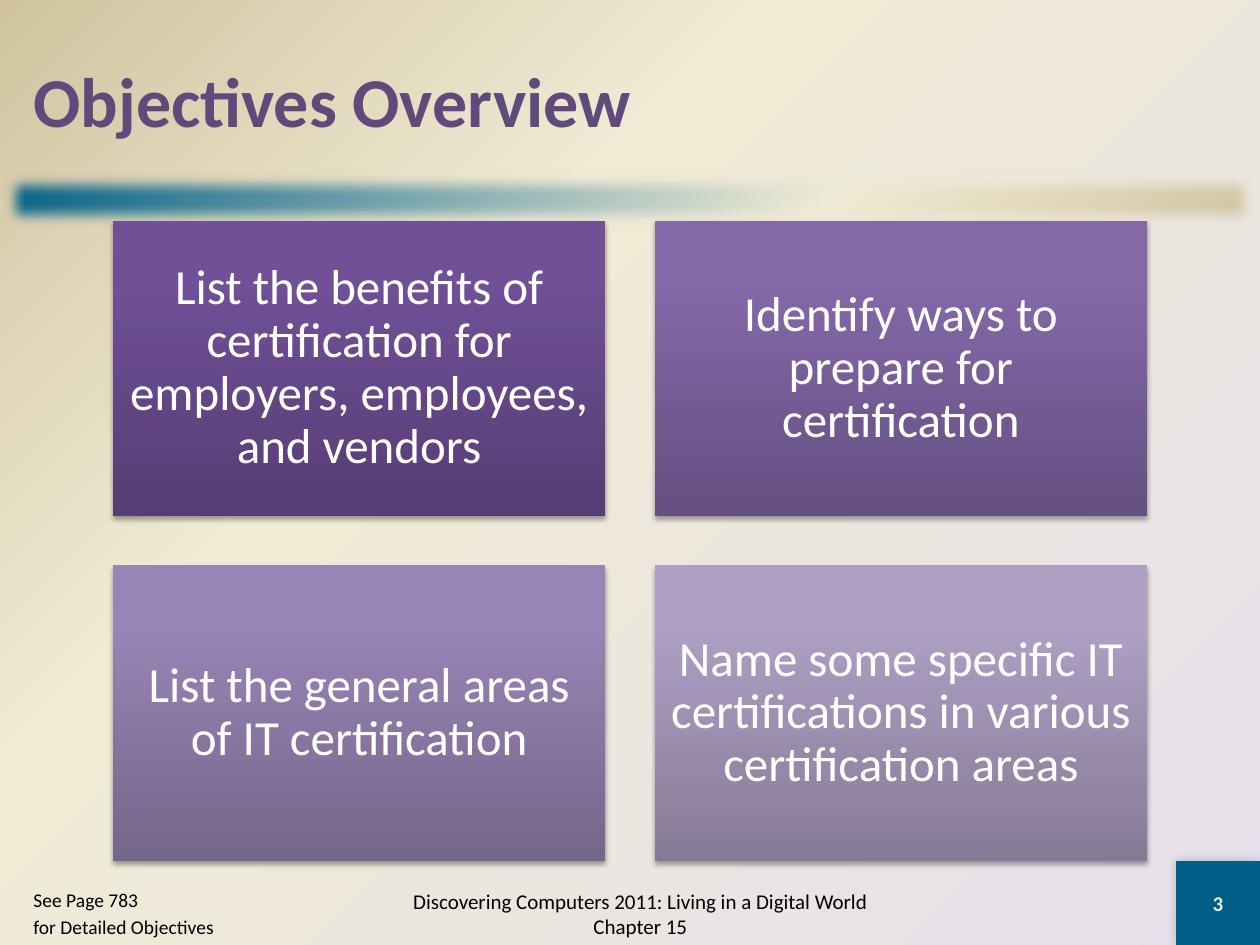
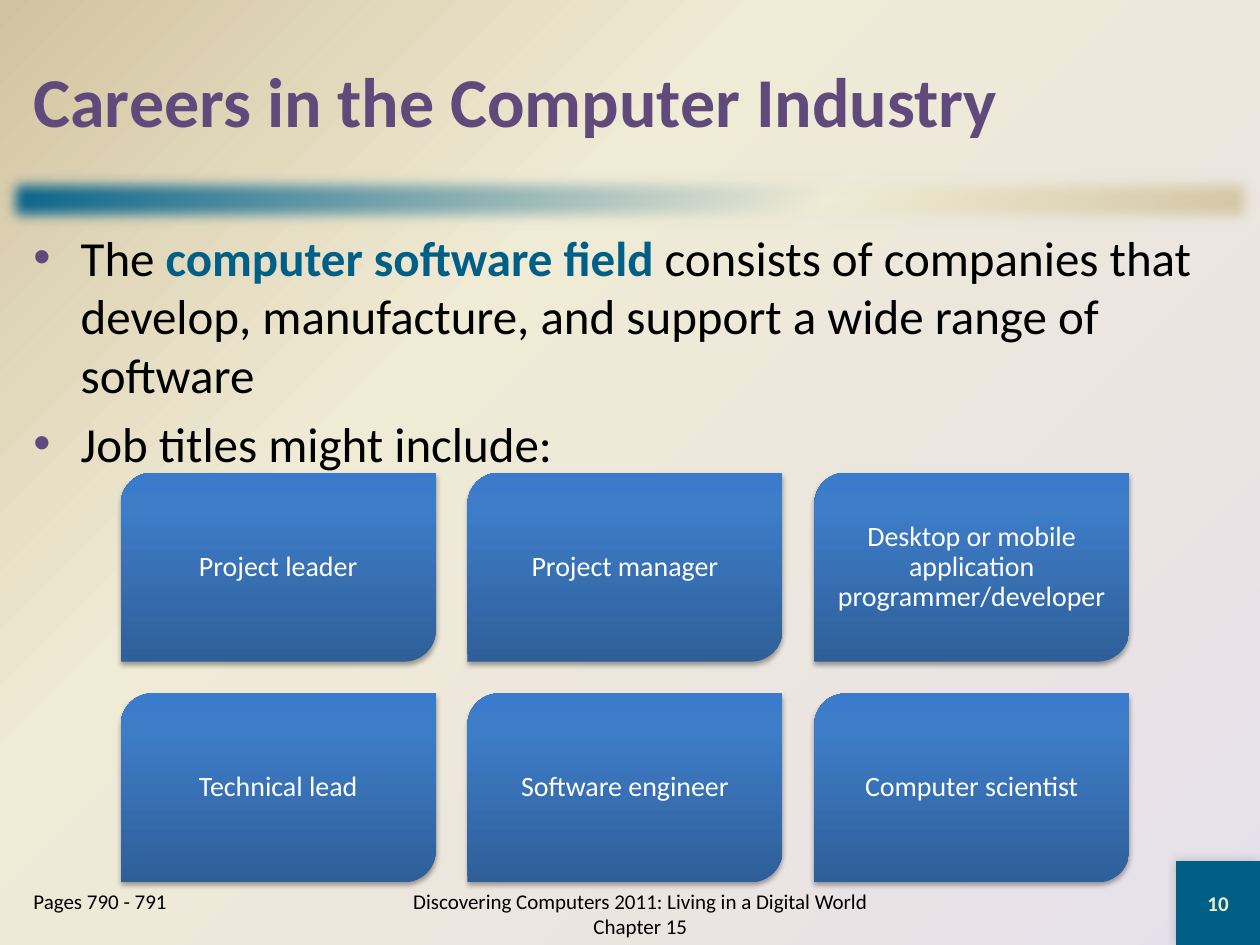
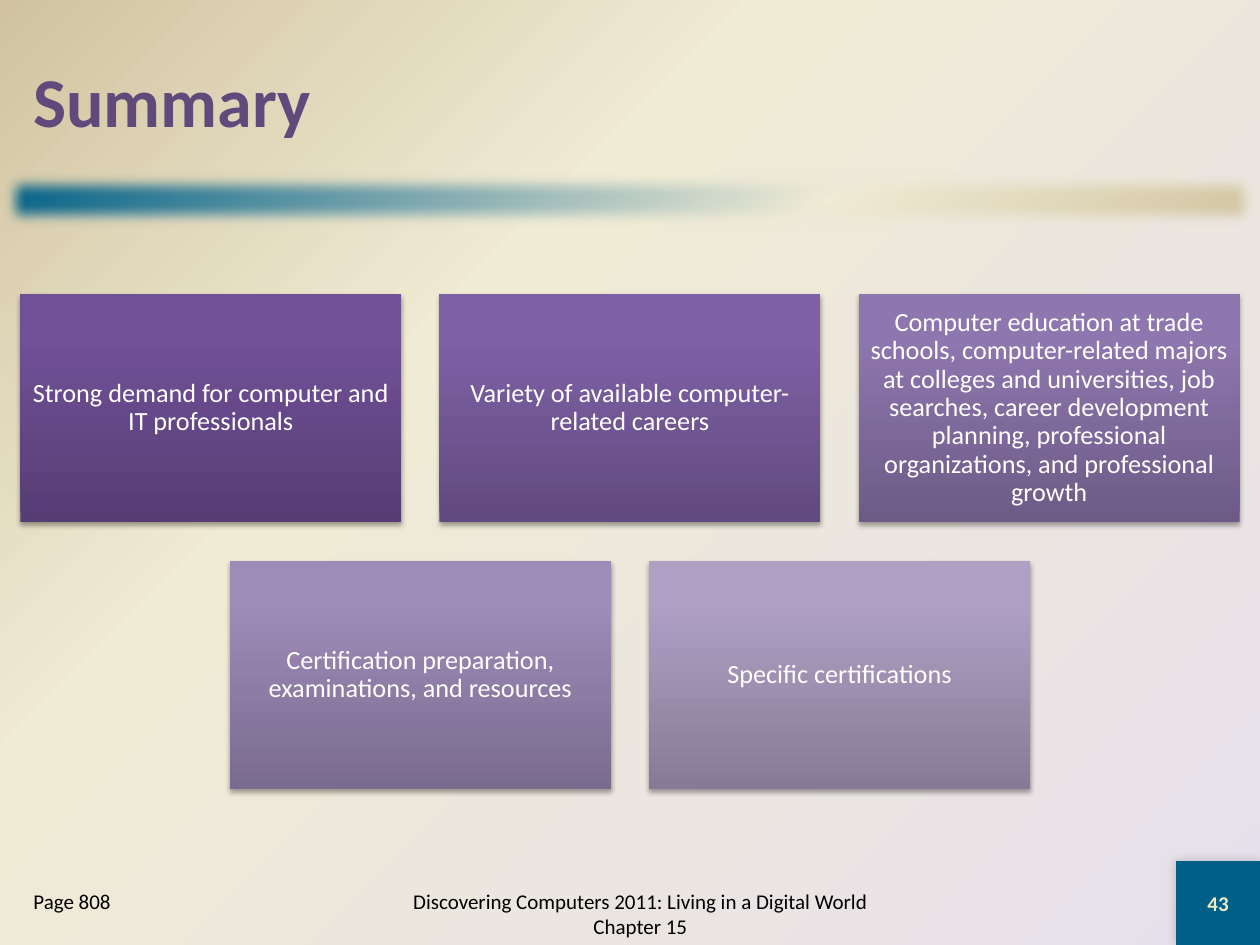
from lxml import etree
from pptx import Presentation
from pptx.dml.color import RGBColor
from pptx.enum.shapes import MSO_SHAPE
from pptx.enum.text import MSO_ANCHOR, MSO_AUTO_SIZE, PP_ALIGN
from pptx.oxml.ns import qn
from pptx.util import Cm, Pt

TEAL = RGBColor(0x00, 0x5F, 0x86)
CREAM = RGBColor(0xF0, 0xEB, 0xD5)
SAND = RGBColor(0xD1, 0xC3, 0x9F)
LILAC = RGBColor(0xE6, 0xE0, 0xEC)
PURPLE = RGBColor(0x60, 0x4A, 0x7B)
PALE = RGBColor(0xEE, 0xEB, 0xCA)
BLACK = RGBColor(0x00, 0x00, 0x00)
WHITE = RGBColor(0xFF, 0xFF, 0xFF)


def shade(*codes):
    """Colours of a box from its bottom edge to its top edge."""
    return [RGBColor.from_string(code) for code in codes]


BLUE_SHADE = shade("2F5F99", "3D7CC7", "3A7CCB")
DARKEST = shade("563D74", "705097", "704F99")
PALEST = shade("867B96", "AE9FC3", "AE9FC4")
OBJECTIVE_SHADES = [
    DARKEST,
    shade("655081", "8468A8", "8467AA"),
    shade("75668B", "9884B5", "9984B7"),
    PALEST,
]
SUMMARY_SHADES = [
    DARKEST,
    shade("614A7F", "7E60A5", "7F60A7"),
    shade("6D5B86", "8E76AE", "8E75B0"),
    shade("796B8E", "9E8BB8", "9E8BBA"),
    PALEST,
]

SLIDE_W, SLIDE_H = 25.4, 19.05
TITLE_AREA = (0.42, 0.42, 24.56, 3.18)
BAND_AREA = (0, 3.39, SLIDE_W, 1.27)
BODY_AREA = (0.42, 4.45, 24.56, 12.9)
PAGE_AREA = (0.42, 17.78, 4.66, 1.27)
FOOTER_AREA = (7.62, 17.78, 10.58, 1.27)
CORNER_AREA = (23.71, 17.36, 1.69, 1.69)

FOOTER = "Discovering Computers 2011: Living in a Digital World Chapter 15"
TITLE_FONT = {"size": Pt(40), "bold": True, "color": PURPLE}
BODY_FONT = {"size": Pt(28), "color": BLACK}
TERM_FONT = {"size": Pt(28), "bold": True, "color": TEAL}
FOOTER_FONT = {"size": Pt(12), "color": BLACK}
NUMBER_FONT = {"size": Pt(12), "bold": True, "color": PALE}


def sub(parent, tag, **attrs):
    return etree.SubElement(parent, qn(tag), {k: str(v) for k, v in attrs.items()})


def paint_gradient(fill, holder, colors, middle, angle=None):
    """Three-stop gradient; without an angle it spreads from the lower right corner."""
    fill.background()
    grad = etree.Element(qn("a:gradFill"), rotWithShape="1")
    stops = sub(grad, "a:gsLst")
    for pos, color in zip((0, middle, 100), colors):
        sub(sub(stops, "a:gs", pos=pos * 1000), "a:srgbClr", val=color)
    if angle is None:
        sub(sub(grad, "a:path", path="circle"), "a:fillToRect", l=100000, t=100000)
    else:
        sub(grad, "a:lin", ang=angle * 60000, scaled=0)
    holder.replace(holder.find(qn("a:noFill")), grad)


def add_shadow(sp, alpha, blur, distance, angle):
    effects = sp.element.spPr.find(qn("a:effectLst"))
    outer = sub(effects, "a:outerShdw", blurRad=Pt(blur), dist=Pt(distance),
                dir=angle * 60000, rotWithShape=0)
    sub(sub(outer, "a:srgbClr", val=BLACK), "a:alpha", val=alpha * 1000)


def add_plain_shape(sl, kind, area):
    sp = sl.shapes.add_shape(kind, *map(Cm, area))
    sp.line.fill.background()
    sp.shadow.inherit = False
    return sp


def add_run(p, text, fmt):
    r = p.add_run()
    r.text = text
    r.font.name = "Calibri"
    for name, value in fmt.items():
        if name == "color":
            r.font.color.rgb = value
        else:
            setattr(r.font, name, value)


def place(sp, area):
    for name, value in zip(("left", "top", "width", "height"), area):
        setattr(sp, name, Cm(value))
    sp.text_frame.auto_size = MSO_AUTO_SIZE.NONE


def set_title(sl, text):
    sp = sl.shapes.title
    place(sp, TITLE_AREA)
    sp.text_frame.vertical_anchor = MSO_ANCHOR.MIDDLE
    p = sp.text_frame.paragraphs[0]
    p.alignment = PP_ALIGN.LEFT
    add_run(p, text, TITLE_FONT)


def fill_list(sp, area, items, bullet_color=None):
    """Each item is a list of (text, format) runs; no colour means no bullets."""
    place(sp, area)
    tf = sp.text_frame
    for i, runs in enumerate(items):
        p = tf.add_paragraph() if i else tf.paragraphs[0]
        pPr = p._p.get_or_add_pPr()
        if bullet_color is None:
            sub(pPr, "a:buNone")
        else:
            sub(sub(pPr, "a:buClr"), "a:srgbClr", val=bullet_color)
        if i == 0:
            p.space_before = Pt(0)
        for text, fmt in runs:
            add_run(p, text, fmt)


def add_label(sl, area, text, fmt):
    tf = sl.shapes.add_textbox(*map(Cm, area)).text_frame
    tf.word_wrap = True
    tf.vertical_anchor = MSO_ANCHOR.MIDDLE
    p = tf.paragraphs[0]
    p.alignment = PP_ALIGN.CENTER
    add_run(p, text, fmt)


def add_box(sl, kind, area, text, colors, size, inset):
    sp = add_plain_shape(sl, kind, area)
    paint_gradient(sp.fill, sp.element.spPr, colors, 80, 270)
    add_shadow(sp, 35, 3.1, 1.8, 90)
    tf = sp.text_frame
    tf.word_wrap = True
    tf.vertical_anchor = MSO_ANCHOR.MIDDLE
    for side in ("left", "top", "right", "bottom"):
        setattr(tf, f"margin_{side}", Cm(inset))
    p = tf.paragraphs[0]
    p.alignment = PP_ALIGN.CENTER
    p.line_spacing = 0.9
    add_run(p, text, {"size": Pt(size), "color": WHITE})


def add_box_grid(sl, texts, shades, columns, top, box, gap, size, inset,
                 kind=MSO_SHAPE.RECTANGLE, center=SLIDE_W / 2):
    """Rows of equal boxes, each row centred, the last one possibly shorter."""
    w, h = box
    for start in range(0, len(texts), columns):
        row = texts[start:start + columns]
        left = center - (len(row) * (w + gap) - gap) / 2
        y = top + start // columns * (h + gap)
        for i, text in enumerate(row):
            area = (left + i * (w + gap), y, w, h)
            add_box(sl, kind, area, text, shades[start + i], size, inset)


def dress_master(prs, sl):
    """Shapes can only be drawn on a slide, so they are moved to the master."""
    master = prs.slide_master
    paint_gradient(master.background.fill, master.element.find(".//" + qn("p:bgPr")),
                   (LILAC, CREAM, SAND), 65)

    band = add_plain_shape(sl, MSO_SHAPE.RECTANGLE, BAND_AREA)
    paint_gradient(band.fill, band.element.spPr, (TEAL, CREAM, SAND), 65, 45)
    sub(band.element.spPr.find(qn("a:effectLst")), "a:softEdge", rad=112500)

    corner = add_plain_shape(sl, MSO_SHAPE.RECTANGLE, CORNER_AREA)
    corner.fill.solid()
    corner.fill.fore_color.rgb = TEAL
    add_shadow(corner, 20, 6, 0, 225)

    for number, sp in enumerate((band, corner), 101):
        sp.element.nvSpPr.cNvPr.set("id", str(number))
        master.element.cSld.spTree.append(sp.element)


def add_slide(prs, layout, title, number, page_lines, page_size=12):
    """The last body placeholder of the layout takes the page reference."""
    sl = prs.slides.add_slide(prs.slide_layouts.get_by_name(layout))
    set_title(sl, title)
    page_font = {"size": Pt(page_size), "color": BLACK}
    fill_list(list(sl.placeholders)[-1], PAGE_AREA,
              [[(line, page_font)] for line in page_lines])
    add_label(sl, FOOTER_AREA, FOOTER, FOOTER_FONT)
    add_label(sl, CORNER_AREA, str(number), NUMBER_FONT)
    return sl


def main():
    prs = Presentation()
    prs.slide_width, prs.slide_height = Cm(SLIDE_W), Cm(SLIDE_H)

    sl = add_slide(prs, "Title and Content", "Objectives Overview", 3,
                   ["See Page 783", "for Detailed Objectives"], 11.1)
    dress_master(prs, sl)
    objectives = [
        "List the benefits of certification for employers, employees, and vendors",
        "Identify ways to prepare for certification",
        "List the general areas of IT certification",
        "Name some specific IT certifications in various certification areas",
    ]
    add_box_grid(sl, objectives, OBJECTIVE_SHADES, columns=2, top=4.45,
                 box=(9.92, 5.95), gap=1, size=28, inset=0.3)

    sl = add_slide(prs, "Two Content", "Careers in the Computer Industry", 10,
                   ["Pages 790 - 791"])
    fill_list(sl.placeholders[1], BODY_AREA, [
        [("The ", BODY_FONT), ("computer software field ", TERM_FONT),
         ("consists of companies that develop, manufacture, and support "
          "a wide range of software", BODY_FONT)],
        [("Job titles might include:", BODY_FONT)],
    ], PURPLE)
    jobs = [
        "Project leader",
        "Project manager",
        "Desktop or mobile application programmer/developer",
        "Technical lead",
        "Software engineer",
        "Computer scientist",
    ]
    add_box_grid(sl, jobs, [BLUE_SHADE] * len(jobs), columns=3, top=9.53,
                 box=(6.35, 3.81), gap=0.64, size=16, inset=0.18,
                 kind=MSO_SHAPE.ROUND_2_DIAG_RECTANGLE, center=12.6)

    sl = add_slide(prs, "Title and Content", "Summary", 43, ["Page 808"])
    topics = [
        "Strong demand for computer and IT professionals",
        "Variety of available computer-related careers",
        "Computer education at trade schools, computer-related majors at colleges "
        "and universities, job searches, career development planning, professional "
        "organizations, and professional growth",
        "Certification preparation, examinations, and resources",
        "Specific certifications",
    ]
    add_box_grid(sl, topics, SUMMARY_SHADES, columns=3, top=5.92,
                 box=(7.68, 4.61), gap=0.77, size=15, inset=0.15)

    prs.save("out.pptx")


if __name__ == "__main__":
    main()
